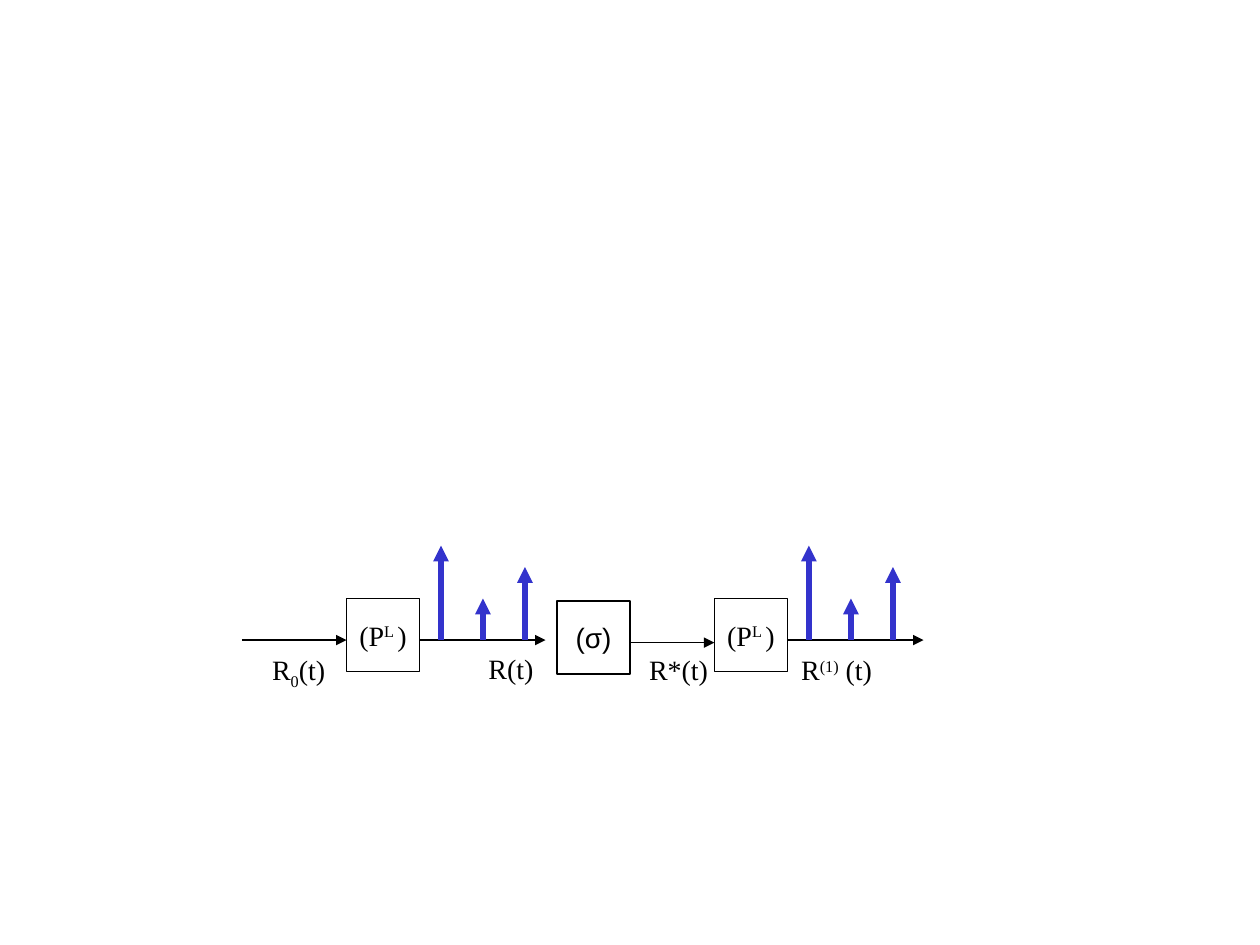
from dataclasses import dataclass

from lxml.etree import SubElement
from pptx import Presentation
from pptx.dml.color import RGBColor
from pptx.enum.shapes import MSO_CONNECTOR, MSO_SHAPE
from pptx.enum.text import MSO_ANCHOR, MSO_AUTO_SIZE, PP_ALIGN
from pptx.oxml.ns import qn
from pptx.util import Inches, Pt


@dataclass(frozen=True)
class Theme:
    ink = RGBColor(0x00, 0x00, 0x00)
    paper = RGBColor(0xFF, 0xFF, 0xFF)
    impulse = RGBColor(0x33, 0x33, 0xCC)
    serif = "Times New Roman"
    sans = "Arial"
    size = Pt(16)
    thin = Pt(0.75)
    thick = Pt(3)


theme = Theme()


def write(shape, runs, font):
    """Fill a shape with centred (text, baseline percent) runs."""
    tf = shape.text_frame
    tf.word_wrap = False
    p = tf.paragraphs[0]
    p.alignment = PP_ALIGN.CENTER
    for text, baseline in runs:
        r = p.add_run()
        r.text = text
        r.font.name = font
        r.font.size = theme.size
        r.font.color.rgb = theme.ink
        if baseline:
            r.font._element.set("baseline", str(baseline * 1000))
    return tf


def add_arrow(shapes, x1, y1, x2, y2, color, width):
    line = shapes.add_connector(
        MSO_CONNECTOR.STRAIGHT, Inches(x1), Inches(y1), Inches(x2), Inches(y2))
    line.line.color.rgb = color
    line.line.width = width
    SubElement(line.line._get_or_add_ln(), qn("a:tailEnd"), type="triangle")
    SubElement(line._element.spPr, qn("a:effectLst"))


prs = Presentation()
prs.slide_width, prs.slide_height = Inches(10), Inches(7.5)
s = prs.slides.add_slide(prs.slide_layouts[6])
diagram = s.shapes.add_group_shape().shapes

# Processing blocks
BOX = 0.58
AXIS_Y = 5.08
power = [("(P", 0), ("L ", 30), (")", 0)]
sigma = [("(σ)", 0)]
for x, y, runs, font in [
    (2.75, 4.75, power, theme.serif),
    (4.42, 4.77, sigma, theme.sans),
    (5.67, 4.75, power, theme.serif),
]:
    sp = diagram.add_shape(
        MSO_SHAPE.RECTANGLE, Inches(x), Inches(y), Inches(BOX), Inches(BOX))
    sp.shadow.inherit = False
    sp.fill.solid()
    sp.fill.fore_color.rgb = theme.paper
    sp.line.color.rgb = theme.ink
    sp.line.width = theme.thin
    write(sp, runs, font).vertical_anchor = MSO_ANCHOR.MIDDLE

# Signal flow
for x1, x2, y in [(1.92, 2.75, AXIS_Y), (3.33, 4.33, AXIS_Y),
                  (5, 5.67, 5.1), (6.25, 7.33, AXIS_Y)]:
    add_arrow(diagram, x1, y, x2, y, theme.ink, theme.thin)

# Impulse trains after each power block
for start in (3.5, 6.42):
    for i, top in enumerate((4.33, 4.75, 4.5)):
        x = start + i / 3
        add_arrow(diagram, x, AXIS_Y, x, top, theme.impulse, theme.thick)

# Signal names
for x, y, w, h, runs in [
    (2.04, 5.13, 0.66, 0.41, [("R", 0), ("0", -25), ("(t)", 0)]),
    (3.75, 5.12, 0.61, 0.37, [("R(t)", 0)]),
    (5.03, 5.13, 0.71, 0.37, [("R*(t)", 0)]),
    (6.24, 5.13, 0.8, 0.37, [("R", 0), ("(1)", 30), (" (t)", 0)]),
]:
    label = diagram.add_textbox(Inches(x), Inches(y), Inches(w), Inches(h))
    write(label, runs, theme.serif).auto_size = MSO_AUTO_SIZE.SHAPE_TO_FIT_TEXT

prs.save("out.pptx")
